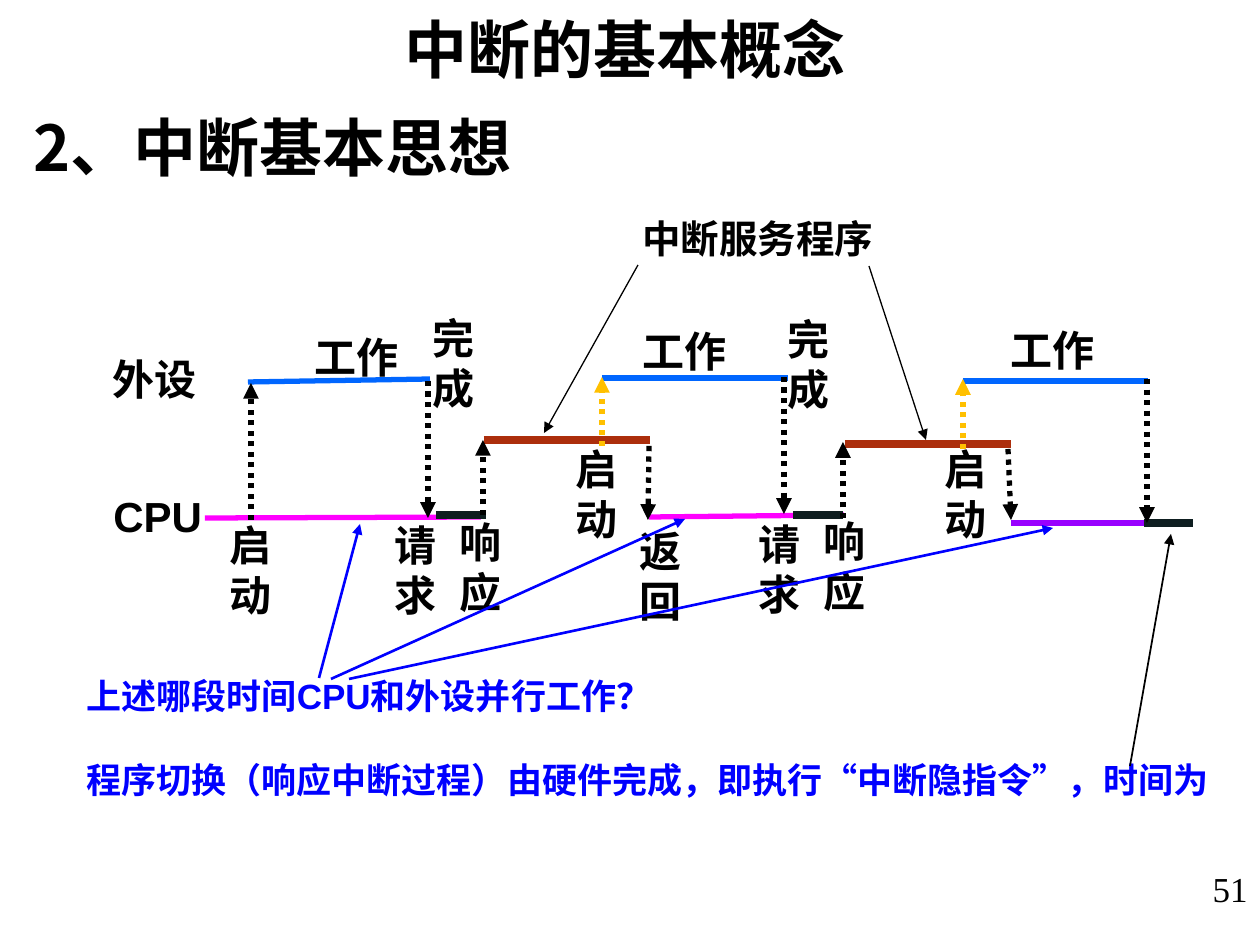
import dataclasses

import pptx
import pptx.dml.color
import pptx.enum.dml
import pptx.enum.shapes
import pptx.enum.text
import pptx.oxml
import pptx.oxml.ns
import pptx.util


@dataclasses.dataclass(frozen=True)
class Theme:
    black: str = "000000"
    blue: str = "0000FF"
    device: str = "0066FF"
    program: str = "FF00FF"
    last_program: str = "9900FF"
    service: str = "AC2E0C"
    switch: str = "0E1E20"
    restart: str = "FFC000"
    latin: str = "Arial"
    chinese: str = "Noto Sans CJK SC"
    number: str = "Times New Roman"
    heading_size: int = 36
    label_size: int = 24
    caption_size: int = 22
    body_size: int = 20


class SlideBuilder:
    """Draws styled text and lines on one slide, measured in pixels."""

    def __init__(self, presentation, theme):
        self.theme = theme
        self.scale = presentation.slide_width / 1260
        self.slide = presentation.slides.add_slide(presentation.slide_layouts[6])

    def emu(self, *lengths):
        return [round(length * self.scale) for length in lengths]

    def apply(self, target, values):
        for name, value in values.items():
            setattr(target, name, value)

    def add_child(self, parent, tag, attributes=""):
        namespace = pptx.oxml.ns.nsdecls("a")
        parent.append(pptx.oxml.parse_xml(f"<a:{tag} {namespace} {attributes}/>"))

    def text(self, box, paragraphs, size=None, color=None, font=None, bold=True,
             wrap=True, leading=None, gap=0, align=pptx.enum.text.PP_ALIGN.LEFT):
        size = size or self.theme.label_size
        frame = self.slide.shapes.add_textbox(*self.emu(*box)).text_frame
        frame.word_wrap = wrap
        for index, content in enumerate(paragraphs):
            paragraph = frame.paragraphs[0] if index == 0 else frame.add_paragraph()
            self.apply(paragraph, {
                "alignment": align,
                "line_spacing": pptx.util.Pt(leading or size * 1.2),
                "space_before": pptx.util.Pt(gap if index else 0),
            })
            run = paragraph.add_run()
            run.text = content
            self.apply(run.font, {
                "size": pptx.util.Pt(size),
                "bold": bold,
                "name": font or self.theme.latin,
            })
            run.font.color.rgb = pptx.dml.color.RGBColor.from_string(color or self.theme.black)
            self.add_child(run.font._element, "ea", f'typeface="{self.theme.chinese}"')

    def line(self, points, color, width, dotted=False, arrow=False):
        connector = self.slide.shapes.add_connector(
            pptx.enum.shapes.MSO_CONNECTOR.STRAIGHT, *self.emu(*points))
        connector.line.color.rgb = pptx.dml.color.RGBColor.from_string(color)
        values = {"width": pptx.util.Pt(width)}
        if dotted:
            values["dash_style"] = pptx.enum.dml.MSO_LINE.ROUND_DOT
        self.apply(connector.line, values)
        properties = connector._element.spPr
        if arrow:
            outline = properties.find(pptx.oxml.ns.qn("a:ln"))
            self.add_child(outline, "tailEnd", 'type="triangle"')
        self.add_child(properties, "effectLst")


SEGMENTS = {
    "program": (3, [(205, 518, 481, 517), (649, 517, 844, 515)]),
    "device": (3, [(248, 382, 430, 379), (602, 378, 788, 378), (963, 381, 1148, 381)]),
    "last_program": (3, [(1011, 523, 1186, 523)]),
    "service": (4.5, [(484, 440, 650, 440), (845, 444, 1011, 444)]),
    "switch": (4.5, [(436, 515, 486, 515), (793, 515, 843, 515), (1144, 523, 1193, 523)]),
}
TRANSITIONS = {
    "black": [
        (251, 520, 251, 383), (428, 381, 428, 518), (483, 515, 483, 440),
        (649, 446, 648, 520), (784, 377, 784, 514), (843, 518, 843, 442),
        (1008, 449, 1011, 520), (1147, 379, 1147, 523),
    ],
    "restart": [(602, 446, 602, 377), (963, 449, 963, 379)],
}
ROW_LABELS = [("外设", 100, 347, 118), ("CPU", 101, 484, 118),
              ("工作", 302, 325, 146), ("工作", 630, 319, 146), ("工作", 998, 318, 146)]
STACKED_LABELS = [
    ("启动", 217, 513, 68), ("启动", 563, 437, 68), ("启动", 932, 437, 68),
    ("完成", 420, 306, 63), ("完成", 775, 307, 63),
    ("请求", 382, 513, 72), ("请求", 746, 512, 72),
    ("响应", 447, 510, 72), ("响应", 811, 509, 72), ("返回", 627, 519, 72),
]
POINTERS = [
    ("black", 0.75, [(638, 265, 544, 433), (869, 266, 926, 440)]),
    ("blue", 1.5, [(319, 678, 360, 524), (331, 679, 685, 519), (349, 679, 1053, 528)]),
    ("black", 1, [(1130, 766, 1171, 534)]),
]


def main():
    presentation = pptx.Presentation()
    presentation.slide_width = pptx.util.Inches(10)
    presentation.slide_height = pptx.util.Inches(7.5)
    theme = Theme()
    builder = SlideBuilder(presentation, theme)

    heading = {"size": theme.heading_size, "font": theme.chinese}
    builder.text((21, 108, 1215, 83), ["2、中断基本思想"], leading=40, **heading)
    builder.text((392, 4, 471, 89), ["中断的基本概念"], wrap=False, **heading)
    builder.text((0, 861, 1260, 66), ["51"], size=theme.body_size, font=theme.number,
                 bold=False, align=pptx.enum.text.PP_ALIGN.RIGHT)

    for color, (width, segments) in SEGMENTS.items():
        for points in segments:
            builder.line(points, getattr(theme, color), width)
    for color, transitions in TRANSITIONS.items():
        for points in transitions:
            builder.line(points, getattr(theme, color), 3, dotted=True, arrow=True)

    for labels, height in ((ROW_LABELS, 63), (STACKED_LABELS, 113)):
        for content, left, top, width in labels:
            builder.text((left, top, width, height), [content])
    builder.text((630, 209, 350, 59), ["中断服务程序"], size=theme.caption_size)
    builder.text((74, 668, 1160, 140), [
        "上述哪段时间CPU和外设并行工作？",
        "程序切换（响应中断过程）由硬件完成，即执行“中断隐指令”，时间为",
    ], size=theme.body_size, color=theme.blue, gap=24)

    for color, width, pointers in POINTERS:
        for points in pointers:
            builder.line(points, getattr(theme, color), width, arrow=True)
    presentation.save("out.pptx")


if __name__ == "__main__":
    main()
